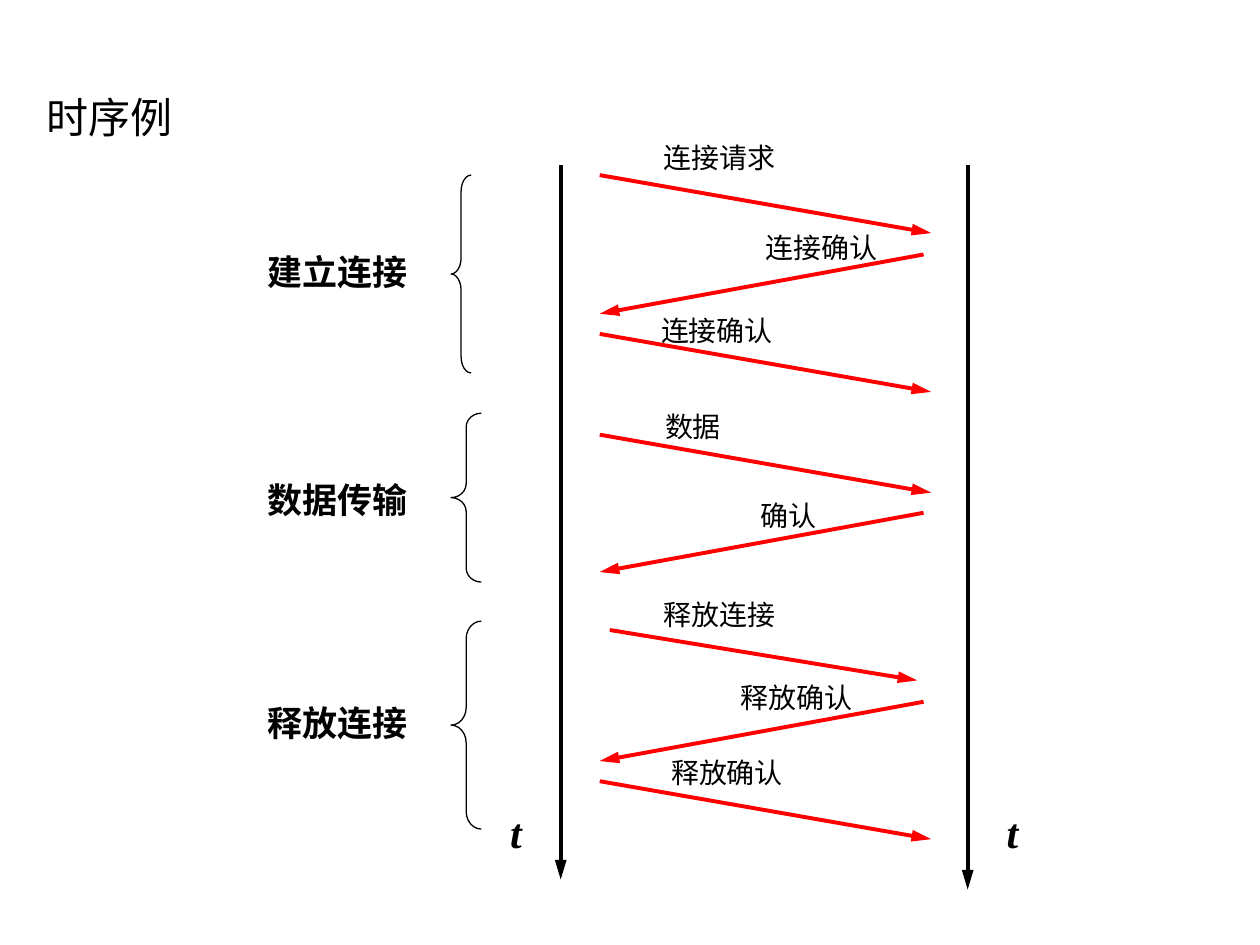
"""Build a slide showing the message timing of a connection."""
from lxml.etree import SubElement
from pptx import Presentation
from pptx.dml.color import RGBColor
from pptx.enum.shapes import MSO_CONNECTOR, MSO_SHAPE
from pptx.enum.text import PP_ALIGN
from pptx.oxml.ns import qn
from pptx.util import Inches, Pt

BLACK = RGBColor(0, 0, 0)
RED = RGBColor(255, 0, 0)

TITLE = {"size": Pt(24), "name": "Arial"}
PHASE = {"size": Pt(20), "name": "Comic Neue", "bold": True}
MESSAGE = {"size": Pt(16), "name": "Comic Neue"}
TIME = {"size": Pt(24), "name": "Times New Roman", "bold": True, "italic": True}

CENTERED = {"alignment": PP_ALIGN.CENTER}
TITLE_SPACING = {"space_before": Pt(6), "space_after": Pt(15)}
TIME_SPACING = {"alignment": PP_ALIGN.CENTER, "space_before": Pt(15)}

AXES = [(4.45, 6.98, 3.82), (7.68, 7.06, 7.76)]
PHASES = [
    ("建立连接", 1.94, 1.39, 0.16, 1.57, 0.81),
    ("数据传输", 3.75, 3.28, 0.24, 1.34, 0.46),
    ("释放连接", 5.52, 4.93, 0.24, 1.65, 0.58),
]
RIGHTWARD = (4.76, 7.39, 0.46)
SHORT_RIGHTWARD = (4.84, 7.28, 0.4)
LEFTWARD = (7.33, 4.76, 0.47)
MESSAGES = [
    ("连接请求", 5.14, 1.07, 1.39, RIGHTWARD),
    ("连接确认", 5.95, 1.78, 2.02, LEFTWARD),
    ("连接确认", 5.12, 2.44, 2.65, RIGHTWARD),
    ("数据", 4.93, 3.2, 3.45, RIGHTWARD),
    ("确认", 5.69, 3.91, 4.07, LEFTWARD),
    ("释放连接", 5.14, 4.69, 5, SHORT_RIGHTWARD),
    ("释放确认", 5.75, 5.35, 5.57, LEFTWARD),
    ("释放确认", 5.2, 5.95, 6.2, RIGHTWARD),
]


class TimingSlide:
    """Draw the elements of a timing diagram on one slide."""

    def __init__(self, slide, arrow_width=Pt(2.25), brace_width=Pt(0.75)):
        self.shapes = slide.shapes
        self.arrow_width = arrow_width
        self.brace_width = brace_width

    def text(self, wording, left, top, width, height, font_format, paragraph_format):
        """Add one line of text."""
        box = self.shapes.add_textbox(*map(Inches, (left, top, width, height)))
        box.text_frame.word_wrap = True
        paragraph = box.text_frame.paragraphs[0]
        run = paragraph.add_run()
        run.text = wording
        run.font.color.rgb = BLACK
        for target, values in ((run.font, font_format), (paragraph, paragraph_format)):
            for attribute, value in values.items():
                setattr(target, attribute, value)

    def arrow(self, x1, y1, x2, y2, color):
        """Add a straight arrow pointing at its end."""
        arrow = self.shapes.add_connector(
            MSO_CONNECTOR.STRAIGHT, *map(Inches, (x1, y1, x2, y2)))
        arrow.line.color.rgb = color
        arrow.line.width = self.arrow_width
        SubElement(arrow.line._get_or_add_ln(), qn("a:tailEnd"),
                   type="triangle", w="med", len="lg")
        SubElement(arrow._element.spPr, qn("a:effectLst"))

    def brace(self, left, top, width, height, curve):
        """Add a left brace whose corners bend by the given curve."""
        brace = self.shapes.add_shape(
            MSO_SHAPE.LEFT_BRACE, *map(Inches, (left, top, width, height)))
        brace.adjustments[0] = curve
        brace.shadow.inherit = False
        brace.fill.background()
        brace.line.color.rgb = BLACK
        brace.line.width = self.brace_width


def main():
    """Compose and save the slide."""
    presentation = Presentation()
    presentation.slide_width = Inches(10)
    presentation.slide_height = Inches(7.5)
    diagram = TimingSlide(presentation.slides.add_slide(presentation.slide_layouts[6]))

    diagram.text("时序例", 0.27, 0.68, 2.13, 0.87, TITLE, TITLE_SPACING)
    for axis_x, axis_end, time_left in AXES:
        diagram.arrow(axis_x, 1.31, axis_x, axis_end, BLACK)
        diagram.text("t", time_left, 6.35, 0.55, 0.5, TIME, TIME_SPACING)
    for phase, phase_top, brace_top, width, height, curve in PHASES:
        diagram.brace(3.58, brace_top, width, height, curve)
        diagram.text(phase, 2.01, phase_top, 1.34, 0.44, PHASE, CENTERED)
    for message, label_left, label_top, start_y, (start_x, end_x, drop) in MESSAGES:
        diagram.arrow(start_x, start_y, end_x, start_y + drop, RED)
        diagram.text(message, label_left, label_top, 1.14, 0.37, MESSAGE, CENTERED)

    presentation.save("out.pptx")


if __name__ == "__main__":
    main()
